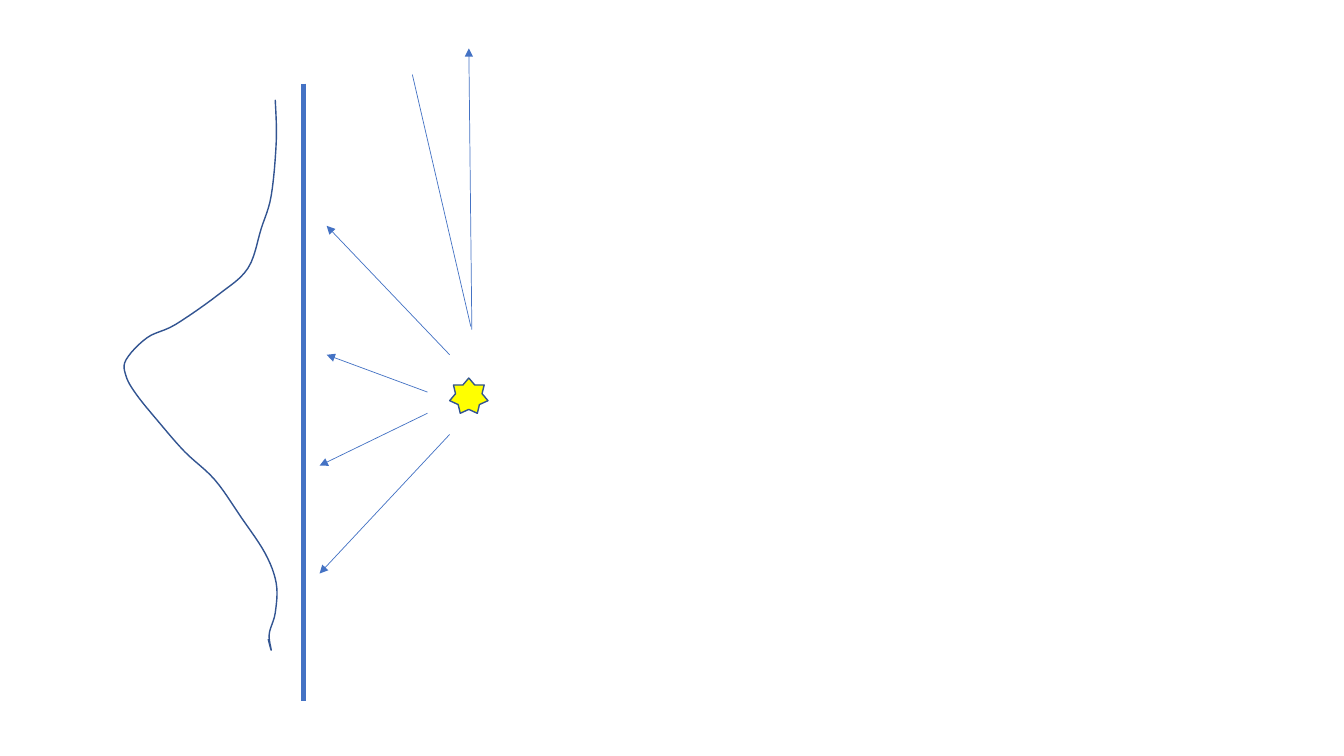
from dataclasses import dataclass

from lxml import etree
from pptx import Presentation
from pptx.dml.color import RGBColor
from pptx.enum.shapes import MSO_CONNECTOR, MSO_SHAPE
from pptx.oxml.ns import qn
from pptx.util import Inches, Pt

STRAIGHT = MSO_CONNECTOR.STRAIGHT
STAR = MSO_SHAPE.STAR_7_POINT
BLANK = 6
STEPS = 6


@dataclass(frozen=True)
class Theme:
    line: RGBColor = RGBColor(0x44, 0x72, 0xC4)
    edge: RGBColor = RGBColor(0x32, 0x54, 0x91)
    glow: RGBColor = RGBColor(0xFF, 0xFF, 0x00)
    thin: float = 0.5
    rim: float = 1
    thick: float = 3


THEME = Theme()

WALL = ((3.01, 0.83), (3.01, 6.95))
LAMP = (4.46, 3.75, 0.38, 0.35)
BEAM = ((4.67, 3.24), (4.09, 0.74))
RAYS = {
    "upper": ((4.46, 3.52), (3.24, 2.24)),
    "high": ((4.24, 3.89), (3.24, 3.52)),
    "low": ((4.24, 4.1), (3.17, 4.62)),
    "lower": ((4.46, 4.31), (3.17, 5.69)),
    "upright": ((4.68, 3.27), (4.65, 0.48)),
}

TOP = [(2.73, 0.99), (2.74, 1.4), (2.69, 1.94)]
RISE = [(2.59, 2.27), (2.46, 2.66), (2.17, 2.92), (1.74, 3.22), (1.46, 3.35)]
PEAK = [(1.25, 3.57), (1.25, 3.73), (1.35, 3.91)]
FALL = [(1.56, 4.17), (1.83, 4.48), (2.13, 4.76), (2.39, 5.13), (2.63, 5.49)]
FOOT = [(2.74, 5.79), (2.73, 6.08), (2.67, 6.29), (2.69, 6.45), (2.66, 6.34)]
BELL = TOP + RISE + PEAK + FALL + FOOT


def blend(a, b, c, d, t):
    slope = (c - a) * t
    bend = (2 * a - 5 * b + 4 * c - d) * t ** 2
    twist = (3 * b - a - 3 * c + d) * t ** 3
    return b + (slope + bend + twist) / 2


def smooth(knots):
    ends = [knots[0], *knots, knots[-1]]
    points = [
        tuple(blend(*axis, step / STEPS) for axis in zip(*span))
        for span in zip(ends, ends[1:], ends[2:], ends[3:])
        for step in range(STEPS)
    ]
    return [*points, knots[-1]]


def add_line(slide, start, end, width=THEME.thin, arrow=False):
    ends = map(Inches, (*start, *end))
    line = slide.shapes.add_connector(STRAIGHT, *ends)
    line.line.color.rgb = THEME.line
    line.line.width = Pt(width)
    if arrow:
        tail = etree.SubElement(line.line._get_or_add_ln(), qn("a:tailEnd"))
        tail.set("type", "triangle")
    etree.SubElement(line._element.spPr, qn("a:effectLst"))


def set_rim(shape):
    shape.shadow.inherit = False
    shape.line.color.rgb = THEME.edge
    shape.line.width = Pt(THEME.rim)


def add_star(slide, box):
    star = slide.shapes.add_shape(STAR, *map(Inches, box))
    set_rim(star)
    star.fill.solid()
    star.fill.fore_color.rgb = THEME.glow


def add_curve(slide, knots):
    start, *rest = [tuple(map(Inches, point)) for point in smooth(knots)]
    pen = slide.shapes.build_freeform(*start)
    pen.add_line_segments(rest, close=False)
    curve = pen.convert_to_shape()
    set_rim(curve)
    curve.fill.background()


def main():
    deck = Presentation()
    deck.slide_width, deck.slide_height = Inches(13.33), Inches(7.5)
    slide = deck.slides.add_slide(deck.slide_layouts[BLANK])
    add_line(slide, *WALL, width=THEME.thick)
    add_star(slide, LAMP)
    add_curve(slide, BELL)
    for ray in RAYS.values():
        add_line(slide, *ray, arrow=True)
    add_line(slide, *BEAM)
    deck.save("out.pptx")


if __name__ == "__main__":
    main()
